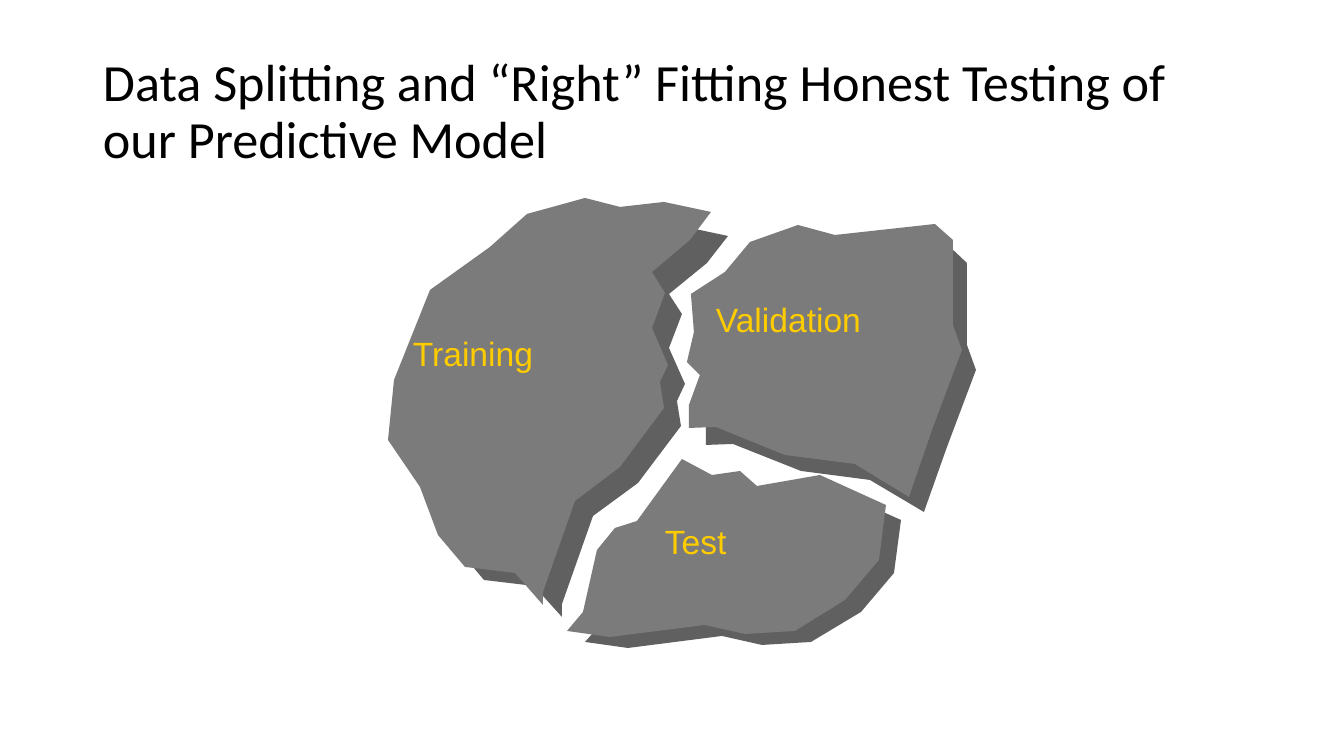
"""Build a slide showing data split into training, validation and test pieces."""
from dataclasses import dataclass

import pptx
import pptx.dml.color
import pptx.enum.text
import pptx.slide
import pptx.util

EMU_PER_PX = 914400 / 100.8
Outline = list[tuple[int, int]]


@dataclass(frozen=True)
class Theme:
    """Colours, fonts and type sizes."""
    face: str = "7B7B7B"
    side: str = "606060"
    title_colour: str = "000000"
    label_colour: str = "FFCC00"
    title_font: str = "Calibri"
    label_font: str = "Arial"
    title_size: float = 37.3
    label_size: float = 24


@dataclass(frozen=True)
class Piece:
    """A thick broken piece: label, its place and the front face."""
    label: str
    left: int
    top: int
    face: Outline


THEME = Theme()
TITLE = "Data Splitting and “Right” Fitting Honest Testing of our Predictive Model"
TITLE_BOX = (93, 40, 1159, 146)
LABEL_SIZE = (227, 68)

PIECES = [
    Piece("Validation", 706, 294, [
        (750, 242), (798, 225), (835, 235), (935, 224), (953, 240), (953, 325),
        (962, 350), (932, 430), (909, 497), (855, 464), (785, 455), (716, 427),
        (689, 428), (689, 405), (700, 375), (687, 362), (694, 332), (691, 294),
        (725, 272)]),
    Piece("Test", 655, 516, [
        (682, 459), (712, 475), (740, 471), (757, 486), (820, 475), (886, 505),
        (879, 560), (845, 600), (795, 631), (745, 634), (705, 625), (610, 637),
        (567, 631), (583, 612), (597, 550), (615, 528), (637, 521)]),
    Piece("Training", 403, 328, [
        (585, 198), (620, 207), (664, 202), (711, 212), (690, 240), (652, 272),
        (665, 293), (652, 328), (668, 365), (660, 382), (664, 408), (620, 467),
        (575, 501), (543, 592), (543, 605), (515, 573), (465, 567), (438, 535),
        (420, 487), (388, 440), (394, 380), (430, 290), (490, 247), (527, 214)]),
]


def px(length: int) -> pptx.util.Emu:
    """Convert px to EMU."""
    return pptx.util.Emu(round(length * EMU_PER_PX))


def recede(face: Outline) -> Outline:
    """Move a front face back in perspective, to the right and down."""
    return [(round(0.99 * x + 24), round(0.97 * y + 30)) for x, y in face]


def draw_outline(slide: pptx.slide.Slide, outline: Outline, colour: str) -> None:
    """Draw a closed, filled outline without border or shadow."""
    builder = slide.shapes.build_freeform(*outline[0], scale=EMU_PER_PX)
    builder.add_line_segments(outline[1:], close=True)
    surface = builder.convert_to_shape()
    surface.shadow.inherit = False
    surface.fill.solid()
    surface.fill.fore_color.rgb = pptx.dml.color.RGBColor.from_string(colour)
    surface.line.fill.background()


def write(slide: pptx.slide.Slide, words: str, box: tuple[int, int, int, int],
          font: str, size: float, colour: str, *, is_title: bool = False) -> None:
    """Write one paragraph in a text box."""
    frame = slide.shapes.add_textbox(*map(px, box)).text_frame
    frame.word_wrap = True
    paragraph = frame.paragraphs[0]
    if is_title:
        frame.vertical_anchor = pptx.enum.text.MSO_ANCHOR.MIDDLE
        paragraph.line_spacing = 0.9
    run = paragraph.add_run()
    run.text = words
    run.font.name = font
    run.font.size = pptx.util.Pt(size)
    run.font.color.rgb = pptx.dml.color.RGBColor.from_string(colour)


def main() -> None:
    """Build and save the slide."""
    deck = pptx.Presentation()
    deck.slide_width, deck.slide_height = px(1344), px(756)
    slide = deck.slides.add_slide(deck.slide_layouts[6])
    write(slide, TITLE, TITLE_BOX, THEME.title_font, THEME.title_size,
          THEME.title_colour, is_title=True)
    for piece in PIECES:
        draw_outline(slide, recede(piece.face), THEME.side)
        draw_outline(slide, piece.face, THEME.face)
        write(slide, piece.label, (piece.left, piece.top, *LABEL_SIZE),
              THEME.label_font, THEME.label_size, THEME.label_colour)
    deck.save("out.pptx")


if __name__ == "__main__":
    main()
